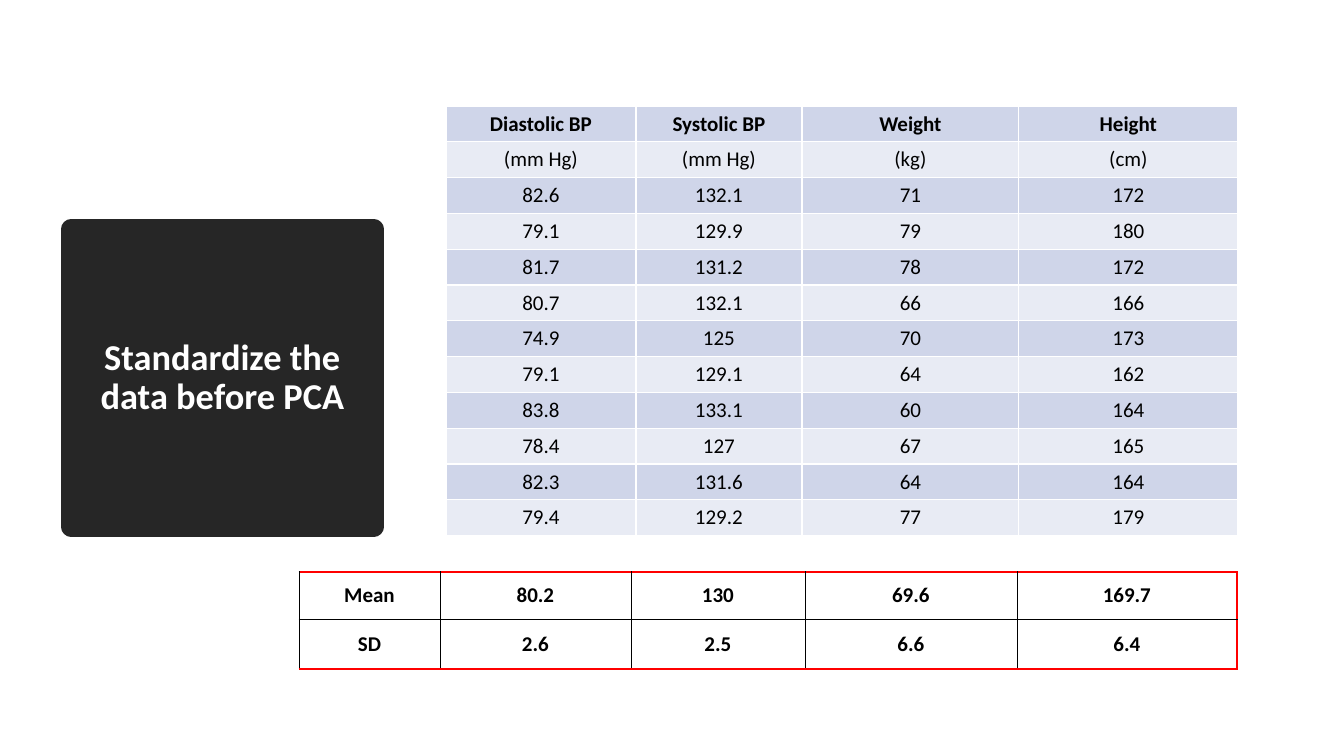
from dataclasses import dataclass

from lxml import etree
from pptx import Presentation
from pptx import util as u
from pptx.dml.color import RGBColor
from pptx.enum import shapes, text
from pptx.oxml import ns

PX_PER_INCH = 100.8


@dataclass(frozen=True)
class Theme:
    font: str = "Calibri"
    title_size: int = 26
    table_size: int = 15
    black: str = "000000"
    white: str = "FFFFFF"
    red: str = "FF0000"
    panel: str = "262626"
    bands: tuple = ("CFD5E9", "E8EBF4")
    panel_line: float = 13.75
    grid_line: float = 0.96
    thin_line: float = 0.5
    frame_line: float = 1.47


THEME = Theme()

READINGS = [
    ("Diastolic BP", "Systolic BP", "Weight", "Height"),
    ("(mm Hg)", "(mm Hg)", "(kg)", "(cm)"),
    ("82.6", "132.1", "71", "172"),
    ("79.1", "129.9", "79", "180"),
    ("81.7", "131.2", "78", "172"),
    ("80.7", "132.1", "66", "166"),
    ("74.9", "125", "70", "173"),
    ("79.1", "129.1", "64", "162"),
    ("83.8", "133.1", "60", "164"),
    ("78.4", "127", "67", "165"),
    ("82.3", "131.6", "64", "164"),
    ("79.4", "129.2", "77", "179"),
]
STATISTICS = [
    ("Mean", "80.2", "130", "69.6", "169.7"),
    ("SD", "2.6", "2.5", "6.6", "6.4"),
]


def px(length):
    return u.Inches(length / PX_PER_INCH)


def add_text(frame, words, size, color, bold):
    paragraph = frame.paragraphs[0]
    paragraph.alignment = text.PP_ALIGN.CENTER
    run = paragraph.add_run()
    run.text = words
    run.font.name = THEME.font
    run.font.size = u.Pt(size)
    run.font.bold = bold
    run.font.color.rgb = RGBColor.from_string(color)
    return paragraph


def set_borders(cell, borders):
    properties = cell._tc.get_or_add_tcPr()
    for index, (side, (color, width)) in enumerate(zip("LRTB", borders)):
        line = etree.Element(ns.qn(f"a:ln{side}"), w=str(u.Pt(width)))
        fill = etree.SubElement(line, ns.qn("a:solidFill"))
        etree.SubElement(fill, ns.qn("a:srgbClr"), val=color)
        properties.insert(index, line)


def add_grid(slide, left, top, widths, height, rows):
    frame = slide.shapes.add_table(
        len(rows), len(widths), px(left), px(top), px(sum(widths)), px(height))
    table = frame.table
    table.first_row = table.horz_banding = False
    for column, width in zip(table.columns, widths):
        column.width = px(width)
    return table


def fill_cell(cell, words, bold, anchor, fill, borders):
    cell.margin_left = cell.margin_right = px(1)
    cell.margin_top = cell.margin_bottom = px(5)
    cell.vertical_anchor = anchor
    if fill:
        cell.fill.solid()
        cell.fill.fore_color.rgb = RGBColor.from_string(fill)
    else:
        cell.fill.background()
    set_borders(cell, borders)
    add_text(cell.text_frame, words, THEME.table_size, THEME.black, bold)


def add_statistics(slide):
    table = add_grid(slide, 299, 572, [141, 191, 174, 212, 220], 97, STATISTICS)
    for row, height in zip(table.rows, (47, 50)):
        row.height = px(height)
    thin = (THEME.black, THEME.thin_line)
    frame = (THEME.red, THEME.frame_line)
    for row, values in enumerate(STATISTICS):
        for column, value in enumerate(values):
            borders = (
                thin,
                frame if column == len(values) - 1 else thin,
                frame if row == 0 else thin,
                frame if row == len(STATISTICS) - 1 else thin,
            )
            fill_cell(table.cell(row, column), value, True,
                      text.MSO_ANCHOR.MIDDLE, None, borders)


def add_readings(slide):
    table = add_grid(slide, 446, 106, [190, 166, 217, 219], 430, READINGS)
    borders = [(THEME.white, THEME.grid_line)] * 4
    for row, values in enumerate(READINGS):
        for column, value in enumerate(values):
            fill_cell(table.cell(row, column), value, row == 0,
                      text.MSO_ANCHOR.BOTTOM, THEME.bands[row % 2], borders)


def add_title_panel(slide, words):
    shape = slide.shapes.add_shape(
        shapes.MSO_SHAPE.RECTANGLE, px(71), px(229), px(303), px(298))
    shape.shadow.inherit = False
    shape.fill.solid()
    shape.fill.fore_color.rgb = RGBColor.from_string(THEME.panel)
    shape.line.color.rgb = RGBColor.from_string(THEME.panel)
    shape.line.width = u.Pt(THEME.panel_line)
    outline = shape._element.spPr.find(ns.qn("a:ln"))
    etree.SubElement(outline, ns.qn("a:round"))
    frame = shape.text_frame
    frame.word_wrap = True
    frame.vertical_anchor = text.MSO_ANCHOR.MIDDLE
    paragraph = add_text(frame, words, THEME.title_size, THEME.white, True)
    paragraph.line_spacing = 0.9


def main():
    presentation = Presentation()
    presentation.slide_width = px(1344)
    presentation.slide_height = px(756)
    slide = presentation.slides.add_slide(presentation.slide_layouts[6])
    add_statistics(slide)
    add_title_panel(slide, "Standardize the data before PCA")
    add_readings(slide)
    presentation.save("out.pptx")


if __name__ == "__main__":
    main()
